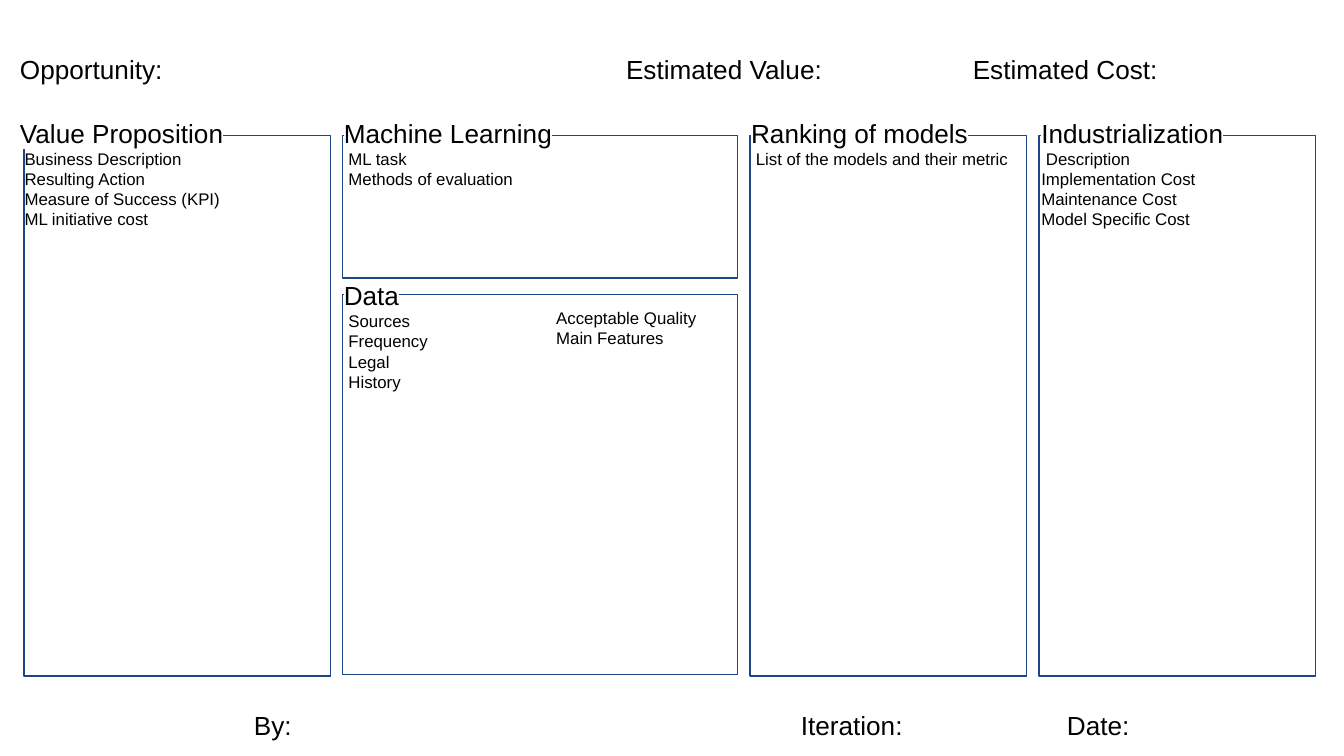
import pptx
import pptx.util
import pptx.dml.color
import pptx.enum.shapes
import pptx.oxml
import pptx.oxml.ns
from pptx.util import Inches

COLORS = {"paper": "FFFFFF", "ink": "000000", "frame": "1C4587"}
FONT = "Arial"
TITLE_SIZE, ITEM_SIZE = 14, 9


def rgb(name):
    return pptx.dml.color.RGBColor.from_string(COLORS[name])


def add_highlight(run, color):
    """Put a marker colour behind a run, right after its text fill."""
    highlight = pptx.oxml.parse_xml(
        f'<a:highlight {pptx.oxml.ns.nsdecls("a")}>'
        f'<a:srgbClr val="{COLORS[color]}"/></a:highlight>')
    run.font._element.find(pptx.oxml.ns.qn("a:solidFill")).addnext(highlight)


def write_line(paragraph, text, size=TITLE_SIZE, color="ink", highlight=None):
    run = paragraph.add_run()
    run.text = text
    run.font.name = FONT
    run.font.size = pptx.util.Pt(size)
    run.font.color.rgb = rgb(color)
    if highlight:
        add_highlight(run, highlight)


def add_text(slide, left, top, width, height, title=None, items=(), highlight=None):
    """Add a text box with an optional title line above small items."""
    frame = slide.shapes.add_textbox(
        Inches(left), Inches(top), Inches(width), Inches(height)).text_frame
    frame.word_wrap = True
    frame.margin_left = frame.margin_right = Inches(0.1)
    frame.margin_top = frame.margin_bottom = Inches(0.1)
    lines = [(title, TITLE_SIZE, highlight)] if title else []
    lines += [(item, ITEM_SIZE, None) for item in items]
    for index, (text, size, marker) in enumerate(lines):
        paragraph = frame.add_paragraph() if index else frame.paragraphs[0]
        write_line(paragraph, text, size=size, highlight=marker)


def add_panel(slide, left, top, width, height):
    panel = slide.shapes.add_shape(
        pptx.enum.shapes.MSO_SHAPE.RECTANGLE,
        Inches(left), Inches(top), Inches(width), Inches(height))
    panel.shadow.inherit = False
    panel.fill.solid()
    panel.fill.fore_color.rgb = rgb("paper")
    panel.line.color.rgb = rgb("frame")
    panel.line.width = pptx.util.Pt(0.75)


def main():
    # Widescreen page, 16:9
    deck = pptx.Presentation()
    deck.slide_width = Inches(10)
    deck.slide_height = Inches(10 * 9 / 16)
    slide = deck.slides.add_slide(deck.slide_layouts[6])

    # Header fields
    for label, left, width in [("Opportunity:", 0.05, 4.11),
                               ("Estimated Value:", 4.56, 2.94),
                               ("Estimated Cost:", 7.14, 2.77)]:
        add_text(slide, left, 0.3, width, 0.58, label)

    # Canvas panels
    panel_top, panel_height = 1.01, 4.02
    for left, top, width, height in [
            (0.18, panel_top, 2.28, panel_height),
            (2.55, panel_top, 2.94, 1.06),
            (2.55, 2.19, 2.94, 2.83),
            (5.58, panel_top, 2.06, panel_height),
            (7.73, panel_top, 2.06, panel_height)]:
        add_panel(slide, left, top, width, height)

    # Section titles sitting on the panel borders, with their items
    title_top = 0.77
    sections = [
        ("Value Proposition", 0.05, title_top, 1.94, 1.12,
         [" Business Description", " Resulting Action",
          " Measure of Success (KPI)", " ML initiative cost"]),
        ("Machine Learning", 2.46, title_top, 1.94, 0.72,
         [" ML task", " Methods of evaluation"]),
        ("Data", 2.46, 1.98, 1.94, 1.06,
         [" Sources", " Frequency", " Legal", " History"]),
        ("Ranking of models", 5.49, title_top, 2.15, 0.72,
         [" List of the models and their metric"]),
        ("Industrialization", 7.65, title_top, 1.94, 1.06,
         [" Description", "Implementation Cost", "Maintenance Cost",
          "Model Specific Cost"]),
    ]
    for title, left, top, width, height, items in sections:
        add_text(slide, left, top, width, height, title, items, highlight="paper")

    # Second column of the data section
    add_text(slide, 4.04, 2.19, 1.94, 0.72,
             items=["Acceptable Quality", "Main Features"])

    # Footer fields
    for label, left in [("By:", 1.79), ("Iteration:", 5.86), ("Date:", 7.84)]:
        add_text(slide, left, 5.18, 2.15, 0.35, label)

    deck.save("out.pptx")


if __name__ == "__main__":
    main()
